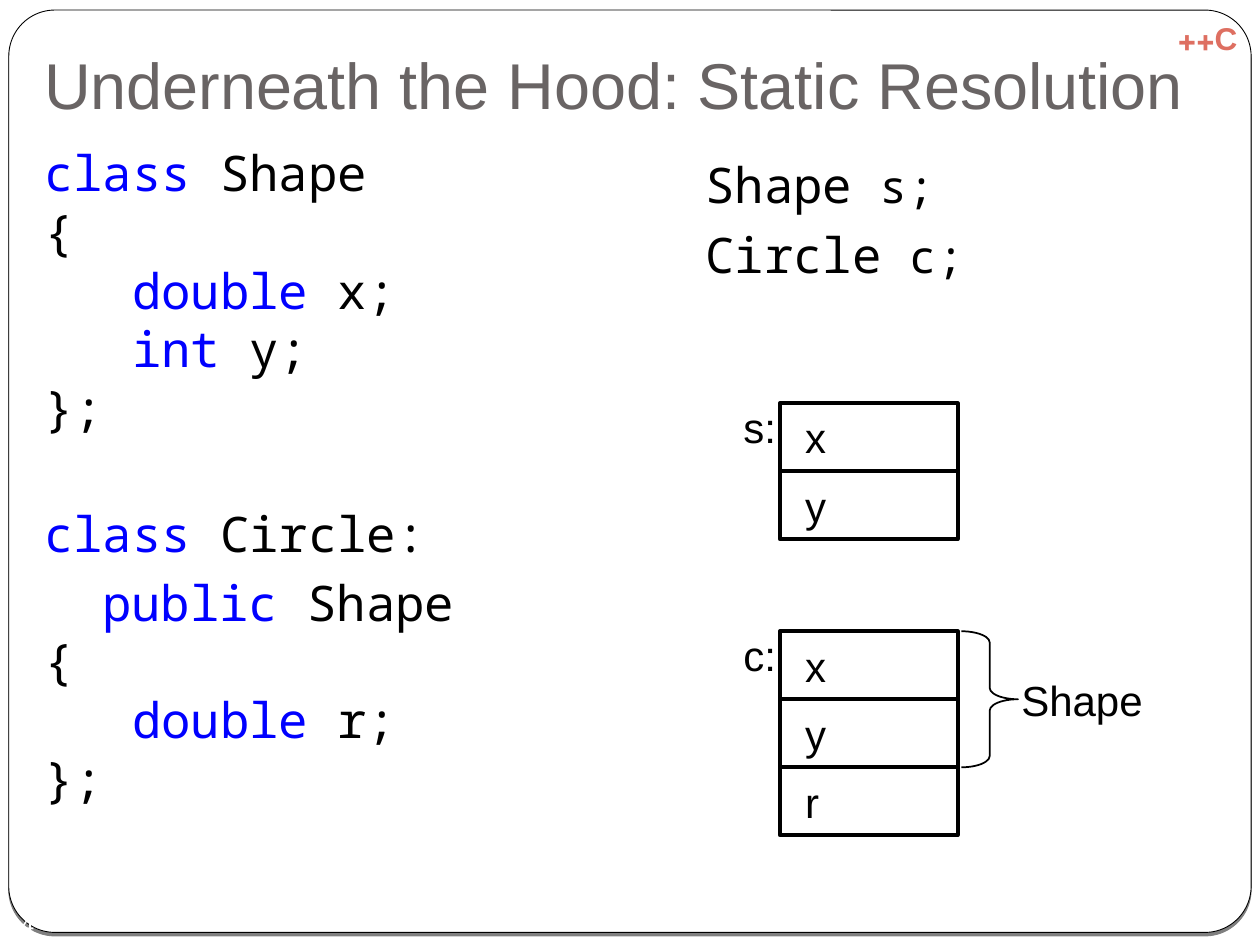
import pptx
import pptx.dml.color
import pptx.enum.shapes
import pptx.enum.text
import pptx.oxml
import pptx.util
from pptx.util import Inches

ANCHOR = pptx.enum.text.MSO_ANCHOR
ALIGN = pptx.enum.text.PP_ALIGN
SHAPE = pptx.enum.shapes.MSO_SHAPE
SANS, MONO = "Arial", "Noto Sans Mono"
BLACK, WHITE, KEYWORD = "000000", "FFFFFF", "0000FF"
CELL_HEIGHT = 0.54
LABEL_INSETS = (0.2, 0.15, 0.2, 0.15)


def rgb(color):
    return pptx.dml.color.RGBColor.from_string(color)


def inches(box):
    return [Inches(length) for length in box]


def place(part, box):
    part.left, part.top, part.width, part.height = inches(box)


def frame_text(frame, insets=(0.1, 0.05, 0.1, 0.05), anchor=ANCHOR.TOP, wrap=True):
    frame.auto_size = pptx.enum.text.MSO_AUTO_SIZE.NONE
    frame.word_wrap = wrap
    frame.vertical_anchor = anchor
    (frame.margin_left, frame.margin_top,
     frame.margin_right, frame.margin_bottom) = inches(insets)
    return frame.paragraphs[0]


def write(paragraph, text, size=24, font=SANS, color=BLACK, bold=False,
          align=ALIGN.LEFT, rtl=False):
    paragraph.alignment = align
    if rtl:
        paragraph._p.get_or_add_pPr().set("rtl", "1")
    for index, line in enumerate(text.split("\n")):
        if index:
            paragraph.add_line_break()
        if line:
            run = paragraph.add_run()
            run.text = line
            run.font.size = pptx.util.Pt(size)
            run.font.name = font
            run.font.bold = bold
            run.font.color.rgb = rgb(color)


def add_label(shapes, box, text, insets=LABEL_INSETS, anchor=ANCHOR.TOP,
              wrap=False, **text_format):
    label = shapes.add_textbox(*inches(box))
    write(frame_text(label.text_frame, insets, anchor, wrap), text, **text_format)


def add_outline(shapes, kind, box, weight):
    outline = shapes.add_shape(kind, *inches(box))
    outline.shadow.inherit = False
    outline.fill.background()
    outline.line.color.rgb = rgb(BLACK)
    outline.line.width = pptx.util.Pt(weight)
    return outline


def add_backdrop(slide, box):
    slide.background.fill.solid()
    slide.background.fill.fore_color.rgb = rgb(WHITE)
    card = add_outline(slide.shapes, SHAPE.ROUNDED_RECTANGLE, box, 0.5)
    card.adjustments[0] = 0.05
    card.fill.solid()
    card.fill.fore_color.rgb = rgb(WHITE)
    effects = card._element.spPr.find(pptx.oxml.ns.qn("a:effectLst"))
    effects.append(pptx.oxml.parse_xml(
        f'<a:outerShdw {pptx.oxml.ns.nsdecls("a")} blurRad="0" dist="25400" '
        'dir="5400000" algn="tl" rotWithShape="0"><a:srgbClr val="000000">'
        '<a:alpha val="50000"/></a:srgbClr></a:outerShdw>'))
    slide.shapes._spTree.insert(2, card._element)


def add_title(title, box, text):
    place(title, box)
    paragraph = frame_text(title.text_frame, (0.1, 0.05, 0.1, 0.1), ANCHOR.BOTTOM)
    paragraph.line_spacing = 0.9
    write(paragraph, text, size=37, color="696464")


def fill_code(body, box, blocks, line_spacing=1.0):
    place(body, box)
    paragraph = frame_text(body.text_frame)
    for index, (space_before, indent, pieces) in enumerate(blocks):
        if index:
            paragraph = body.text_frame.add_paragraph()
        paragraph.space_before = pptx.util.Pt(space_before)
        paragraph.line_spacing = line_spacing
        properties = paragraph._p.get_or_add_pPr()
        properties.set("marL", "0")
        properties.set("indent", str(Inches(indent)))
        properties.append(pptx.oxml.parse_xml(
            f'<a:buNone {pptx.oxml.ns.nsdecls("a")}/>'))
        for text, color, size in pieces:
            write(paragraph, text, size=size, font=MONO, color=color)


def add_object(shapes, box, name, fields):
    left, top, width = box
    add_label(shapes, (left - 0.49, top - 0.16, 0.66, 0.7), name)
    cells = shapes.add_group_shape().shapes
    for row, field in enumerate(fields):
        cell = add_outline(cells, SHAPE.RECTANGLE,
                           (left, top + row * CELL_HEIGHT, width, CELL_HEIGHT), 2.25)
        write(frame_text(cell.text_frame, LABEL_INSETS, ANCHOR.MIDDLE, False), field)


def add_inherited_part(shapes, box, text):
    left, top, width, height = box
    brace = add_outline(shapes, SHAPE.RIGHT_BRACE, box, 1)
    brace.adjustments[0] = 0.2
    add_label(shapes, (left + 0.18, top + 0.19, 1.46, 0.7), text,
              align=ALIGN.RIGHT, rtl=True)


def main():
    deck = pptx.Presentation()
    deck.slide_width, deck.slide_height = Inches(10), Inches(7.5)
    slide = deck.slides.add_slide(deck.slide_layouts[3])
    shapes = slide.shapes
    title, classes, variables = slide.placeholders

    add_backdrop(slide, (0.07, 0.08, 9.86, 7.32))
    add_label(shapes, (9.17, 0.1, 0.83, 0.4), "C++", (0.1, 0.05, 0.1, 0.05), wrap=True,
              size=18, color="DE6F61", bold=True, align=ALIGN.CENTER, rtl=True)
    add_title(title, (0.25, 0.3, 9.5, 0.78), "Underneath the Hood: Static Resolution")
    add_label(shapes, (0, 7.17, 0.33, 0.33), "14", (0, 0, 0, 0), ANCHOR.MIDDLE, True,
              size=14, color=WHITE, align=ALIGN.CENTER)

    fill_code(classes, (0.25, 1.08, 9.5, 6.17), [
        (5.8, 0, [("class", KEYWORD, 28), (" Shape \n{ \n   ", BLACK, 28),
                  ("double", KEYWORD, 28), (" x; \n   ", BLACK, 28),
                  ("int", KEYWORD, 28), (" y; \n};", BLACK, 28)]),
        (38, 0, [("class", KEYWORD, 28), (" Circle:", BLACK, 28)]),
        (5.8, 0.46, [("public", KEYWORD, 28), (" Shape \n{ \n   ", BLACK, 28),
                     ("double", KEYWORD, 28), (" r; \n};", BLACK, 28)]),
    ])
    fill_code(variables, (5.5, 1.08, 4.25, 6.17), [
        (5.8, 0, [("Shape", BLACK, 28), (" s; \n", BLACK, 26),
                  ("Circle", BLACK, 28), (" c;", BLACK, 26)]),
    ], line_spacing=1.2)

    add_object(shapes, (6.19, 3.2, 1.41), "s:", ["x", "y"])
    add_object(shapes, (6.19, 5.01, 1.41), "c:", ["x", "y", "r"])
    add_inherited_part(shapes, (7.63, 5.01, 0.45, 2 * CELL_HEIGHT), "Shape")

    deck.save("out.pptx")


if __name__ == "__main__":
    main()
